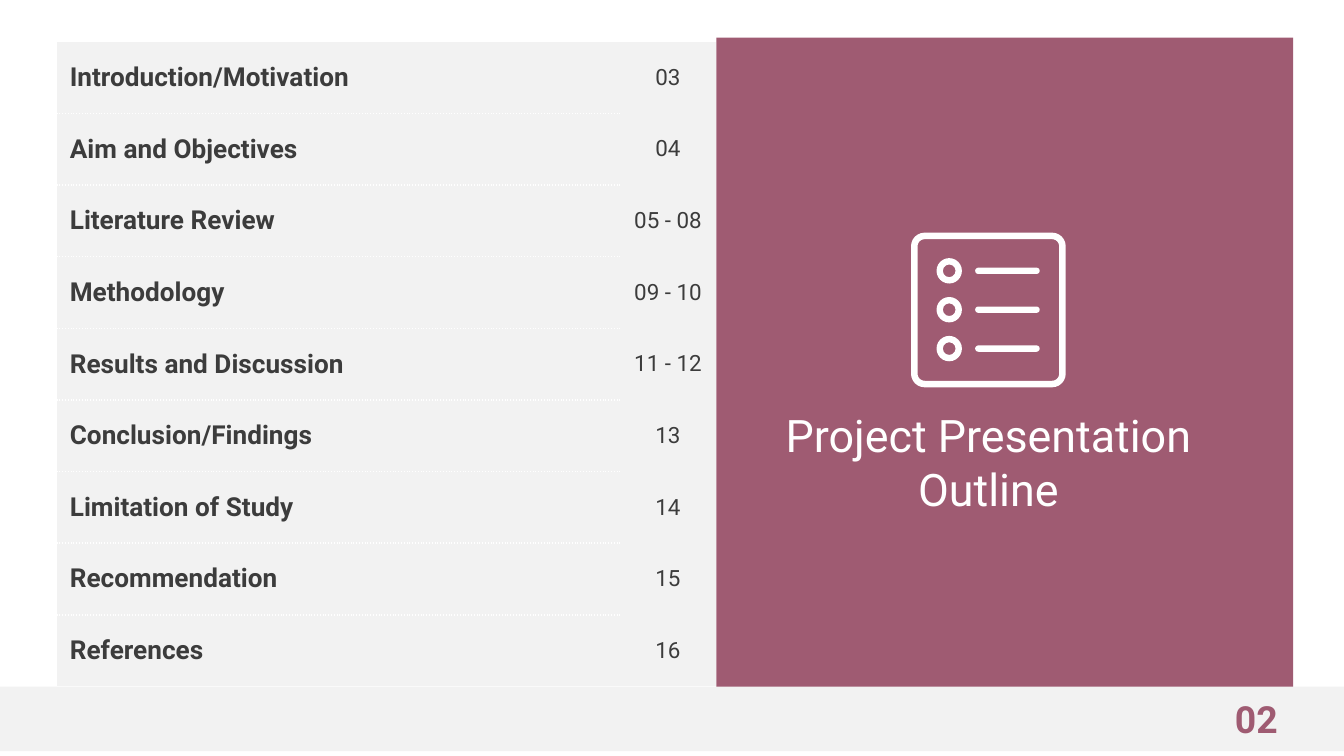
import pptx
import pptx.dml.color
import pptx.enum.shapes
import pptx.enum.text
import pptx.oxml
import pptx.oxml.ns
import pptx.util

Cm, Pt = pptx.util.Cm, pptx.util.Pt
Kind = pptx.enum.shapes.MSO_SHAPE
Align = pptx.enum.text.PP_ALIGN
Anchor = pptx.enum.text.MSO_ANCHOR

TOPICS = [
    ("Introduction/Motivation", "03"),
    ("Aim and Objectives", "04"),
    ("Literature Review", "05 - 08"),
    ("Methodology", "09 - 10"),
    ("Results and Discussion", "11 - 12"),
    ("Conclusion/Findings", "13"),
    ("Limitation of Study", "14"),
    ("Recommendation", "15"),
    ("References", "16"),
]
TITLE = "Project Presentation Outline"
PAGE = "02"

FONT = "Roboto"
PLUM, GREY, INK, WHITE = "9F5B72", "F2F2F2", "3C3C3C", "FFFFFF"
COLS = (10.64, 1.83)
ROW = 12.19 / len(TOPICS)
NO_STYLE = "{2D5ABB26-0587-4C30-8999-92F81FD0307C}"


def paint(part, color):
    """Give a fill a solid colour from a hex string."""
    part.solid()
    part.fore_color.rgb = pptx.dml.color.RGBColor.from_string(color)


def write(frame, text, size, color, bold=False, align=Align.LEFT):
    para = frame.paragraphs[0]
    para.alignment = align
    run = para.add_run()
    run.text = text
    run.font.name = FONT
    run.font.size = Pt(size)
    run.font.bold = bold
    paint(run.font.fill, color)


def fit(frame):
    """Wrap text, centre it vertically and drop the insets."""
    frame.word_wrap = True
    frame.auto_size = pptx.enum.text.MSO_AUTO_SIZE.NONE
    frame.vertical_anchor = Anchor.MIDDLE
    frame.margin_left = frame.margin_right = 0
    frame.margin_top = frame.margin_bottom = 0


def block(shapes, kind, box, color):
    shape = shapes.add_shape(kind, *map(Cm, box))
    shape.shadow.inherit = False
    paint(shape.fill, color)
    shape.line.fill.background()
    return shape


def dot_edge(cell, sides):
    """Put dotted white borders on the given sides (T before B)."""
    props = cell._tc.get_or_add_tcPr()
    space = pptx.oxml.ns.nsdecls("a")
    for spot, side in enumerate(sides):
        props.insert(spot, pptx.oxml.parse_xml(
            f'<a:ln{side} {space} w="12700"><a:solidFill>'
            f'<a:srgbClr val="{WHITE}"/></a:solidFill>'
            f'<a:prstDash val="sysDot"/></a:ln{side}>'))


def add_list(slide):
    frame = slide.shapes.add_table(
        len(TOPICS), len(COLS), Cm(1.07), Cm(0.79),
        Cm(sum(COLS)), Cm(ROW * len(TOPICS)))
    name = pptx.oxml.ns.qn("a:tableStyleId")
    frame.element.find(f".//{name}").text = NO_STYLE
    table = frame.table
    table.first_row = table.horz_banding = False
    for col, width in zip(table.columns, COLS):
        col.width = Cm(width)
    for index, (topic, pages) in enumerate(TOPICS):
        table.rows[index].height = Cm(ROW)
        left, right = table.cell(index, 0), table.cell(index, 1)
        for cell in (left, right):
            paint(cell.fill, GREY)
            cell.vertical_anchor = Anchor.MIDDLE
            cell.margin_left = cell.margin_right = Cm(0.25)
            cell.margin_top = cell.margin_bottom = Cm(0.25)
        write(left.text_frame, topic, 14, INK, bold=True)
        write(right.text_frame, pages, 12, INK, align=Align.CENTER)
        dot_edge(left, "TB" if index else "B")


def add_icon(slide):
    """Draw a framed checklist of three rings and bars."""
    parts = slide.shapes.add_group_shape().shapes
    frame = block(parts, Kind.ROUNDED_RECTANGLE, (17.28, 4.46, 2.8, 2.8), WHITE)
    frame.adjustments[0] = 0.07
    frame.fill.background()
    paint(frame.line.fill, WHITE)
    frame.line.width = Pt(3.5)
    for index in range(3):
        mid = 5.12 + 0.735 * index
        ring = block(parts, Kind.DONUT, (17.7, mid - 0.24, 0.48, 0.48), WHITE)
        ring.adjustments[0] = 0.25
        bar = block(parts, Kind.ROUNDED_RECTANGLE,
                    (18.43, mid - 0.06, 1.22, 0.12), WHITE)
        bar.adjustments[0] = 0.5


def main():
    deck = pptx.Presentation()
    deck.slide_width, deck.slide_height = Cm(25.4), Cm(14.29)
    slide = deck.slides.add_slide(deck.slide_layouts[5])
    shapes = slide.shapes

    panel = block(shapes, Kind.RECTANGLE, (13.54, 0.71, 10.9, 12.32), PLUM)
    add_list(slide)
    add_icon(slide)

    title = shapes.title
    title.left, title.top = Cm(14.02), Cm(7.7)
    title.width, title.height = Cm(9.32), Cm(2.06)
    fit(title.text_frame)
    write(title.text_frame, TITLE, 24, WHITE, align=Align.CENTER)
    panel.element.addnext(title.element)

    block(shapes, Kind.RECTANGLE, (0, 12.98, 25.4, 1.22), GREY)
    page = shapes.add_textbox(Cm(23.34), Cm(13.16), Cm(1.02), Cm(0.86))
    fit(page.text_frame)
    write(page.text_frame, PAGE, 20, PLUM, bold=True)

    deck.save("out.pptx")


if __name__ == "__main__":
    main()
